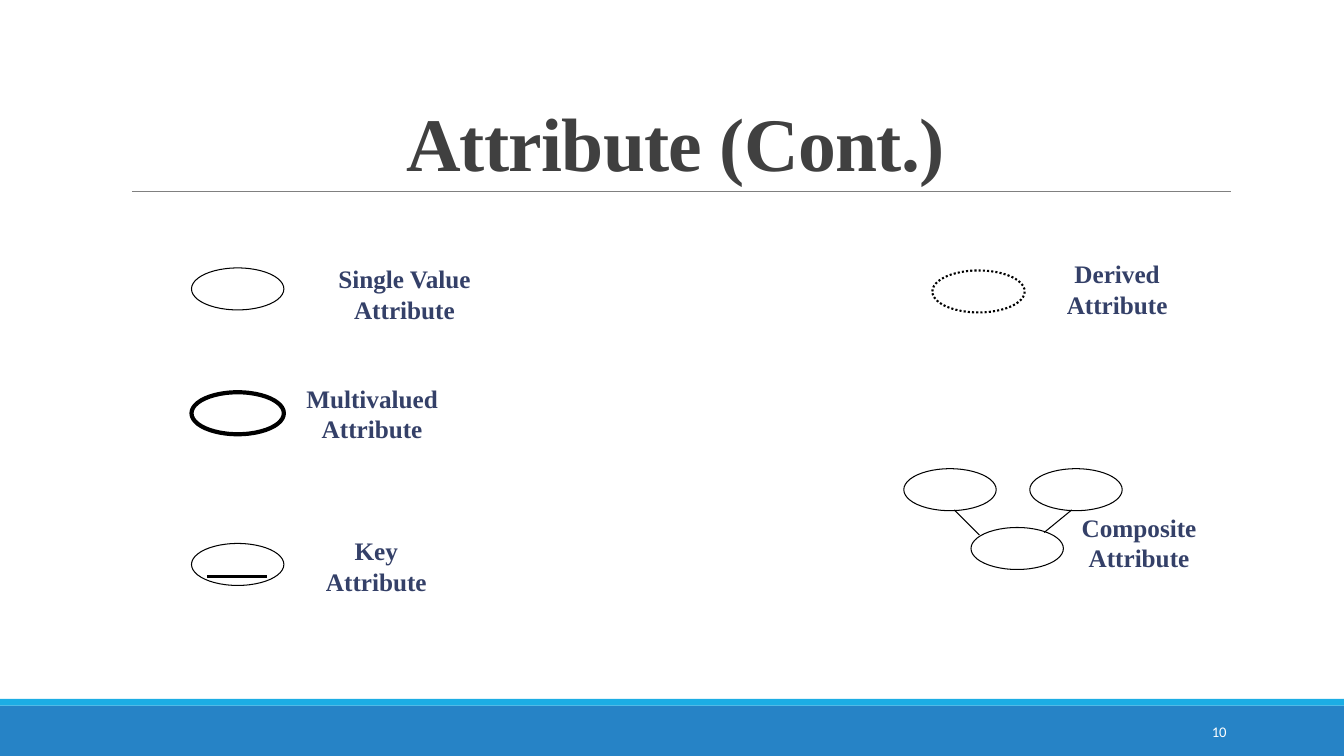
"""Build the slide of entity-relationship attribute symbols on a 16 by 9 grid."""
from dataclasses import dataclass

from lxml.etree import SubElement
from pptx import Presentation
from pptx.dml.color import RGBColor
from pptx.enum.dml import MSO_LINE
from pptx.enum.shapes import MSO_CONNECTOR, MSO_SHAPE
from pptx.enum.text import MSO_ANCHOR, PP_ALIGN
from pptx.oxml.ns import qn
from pptx.shapes.autoshape import Shape
from pptx.util import Inches, Pt

BLACK = RGBColor(0x00, 0x00, 0x00)
WHITE = RGBColor(0xFF, 0xFF, 0xFF)
GRAY = RGBColor(0x80, 0x80, 0x80)
CHARCOAL = RGBColor(0x40, 0x40, 0x40)
NAVY = RGBColor(0x34, 0x40, 0x68)
BLUE = RGBColor(0x26, 0x83, 0xC6)
CYAN = RGBColor(0x1C, 0xAD, 0xE4)

SERIF = "Times New Roman"
COLS, ROWS = 16, 9
LEFT = 2.28
OVAL_W, OVAL_H = 1.1, 0.5
LABEL_W, LABEL_H = 2, 0.84

prs = Presentation()
prs.slide_width, prs.slide_height = Inches(13.333), Inches(7.5)
s = prs.slides.add_slide(prs.slide_layouts[6])


@dataclass
class Band:
    row: float
    height: float
    color: RGBColor


@dataclass
class Oval:
    col: float
    row: float
    weight: float = 0.75
    dash: MSO_LINE = MSO_LINE.SOLID


@dataclass
class Line:
    start: tuple[float, float]
    end: tuple[float, float]
    weight: float = 0.75
    color: RGBColor = BLACK


@dataclass
class Label:
    text: str
    col: float
    row: float
    width: float = LABEL_W
    height: float = LABEL_H
    size: float = 18
    color: RGBColor = NAVY
    font: str = SERIF
    bold: bool = True
    align: PP_ALIGN = PP_ALIGN.CENTER
    anchor: MSO_ANCHOR = MSO_ANCHOR.TOP
    line_spacing: float = 1.0
    tracking: int = 0


def x(col: float) -> int:
    return round(prs.slide_width * col / COLS)


def y(row: float) -> int:
    return round(prs.slide_height * row / ROWS)


def draw_band(band: Band) -> None:
    sp = s.shapes.add_shape(MSO_SHAPE.RECTANGLE, 0, y(band.row), x(COLS), y(band.height))
    sp.shadow.inherit = False
    sp.fill.solid()
    sp.fill.fore_color.rgb = band.color
    sp.line.fill.background()


def draw_oval(oval: Oval) -> None:
    sp = s.shapes.add_shape(MSO_SHAPE.OVAL, x(oval.col), y(oval.row), x(OVAL_W), y(OVAL_H))
    sp.shadow.inherit = False
    sp.fill.background()
    sp.line.color.rgb = BLACK
    sp.line.width = Pt(oval.weight)
    sp.line.dash_style = oval.dash


def draw_line(line: Line) -> None:
    (x1, y1), (x2, y2) = line.start, line.end
    cx = s.shapes.add_connector(MSO_CONNECTOR.STRAIGHT, x(x1), y(y1), x(x2), y(y2))
    cx.line.color.rgb = line.color
    cx.line.width = Pt(line.weight)
    SubElement(cx._element.spPr, qn("a:effectLst"))


def draw_label(label: Label) -> Shape:
    sp = s.shapes.add_textbox(x(label.col), y(label.row), x(label.width), y(label.height))
    tf = sp.text_frame
    tf.word_wrap = True
    tf.vertical_anchor = label.anchor
    p = tf.paragraphs[0]
    p.alignment = label.align
    p.line_spacing = label.line_spacing
    r = p.add_run()
    r.text = label.text
    formats = {"name": label.font, "size": Pt(label.size), "bold": label.bold}
    for key, value in formats.items():
        setattr(r.font, key, value)
    r.font.color.rgb = label.color
    if label.tracking:
        r._r.get_or_add_rPr().set("spc", str(label.tracking))
    return sp


BANDS = [Band(8.4, 0.6, BLUE), Band(8.32, 0.08, CYAN)]
OVALS = [
    Oval(LEFT, 3.19),
    Oval(LEFT, 4.67, weight=3),
    Oval(LEFT, 6.47),
    Oval(11.1, 3.22, weight=1.5, dash=MSO_LINE.ROUND_DOT),
    Oval(11.56, 6.28),
    Oval(10.76, 5.58),
    Oval(12.26, 5.58),
]
LINES = [
    Line((1.57, 2.28), (14.65, 2.28), 0.5, GRAY),
    Line((2.47, 6.86), (3.18, 6.86), 2.25),
    Line((11.36, 6.07), (11.66, 6.37)),
    Line((12.76, 6.07), (12.43, 6.34)),
]
LABELS = [
    Label("Attribute (Cont.)", 1.44, 0.37, 13.2, 1.91, size=54, color=CHARCOAL,
          anchor=MSO_ANCHOR.BOTTOM, line_spacing=0.85, tracking=-50),
    Label("Single Value Attribute", 3.74, 3.08, width=2.15),
    Label("Multivalued Attribute", 3.43, 4.5),
    Label("Key Attribute", 3.48, 6.32),
    Label("Derived Attribute", 12.3, 3.02),
    Label("Composite Attribute", 12.56, 6.04),
    Label("10", 13, 8.47, 1.72, 0.48, size=10.5, color=WHITE, font="Calibri",
          bold=False, align=PP_ALIGN.RIGHT, anchor=MSO_ANCHOR.MIDDLE),
]

for draw, items in ((draw_band, BANDS), (draw_oval, OVALS),
                    (draw_line, LINES), (draw_label, LABELS)):
    for item in items:
        draw(item)

prs.save("out.pptx")
